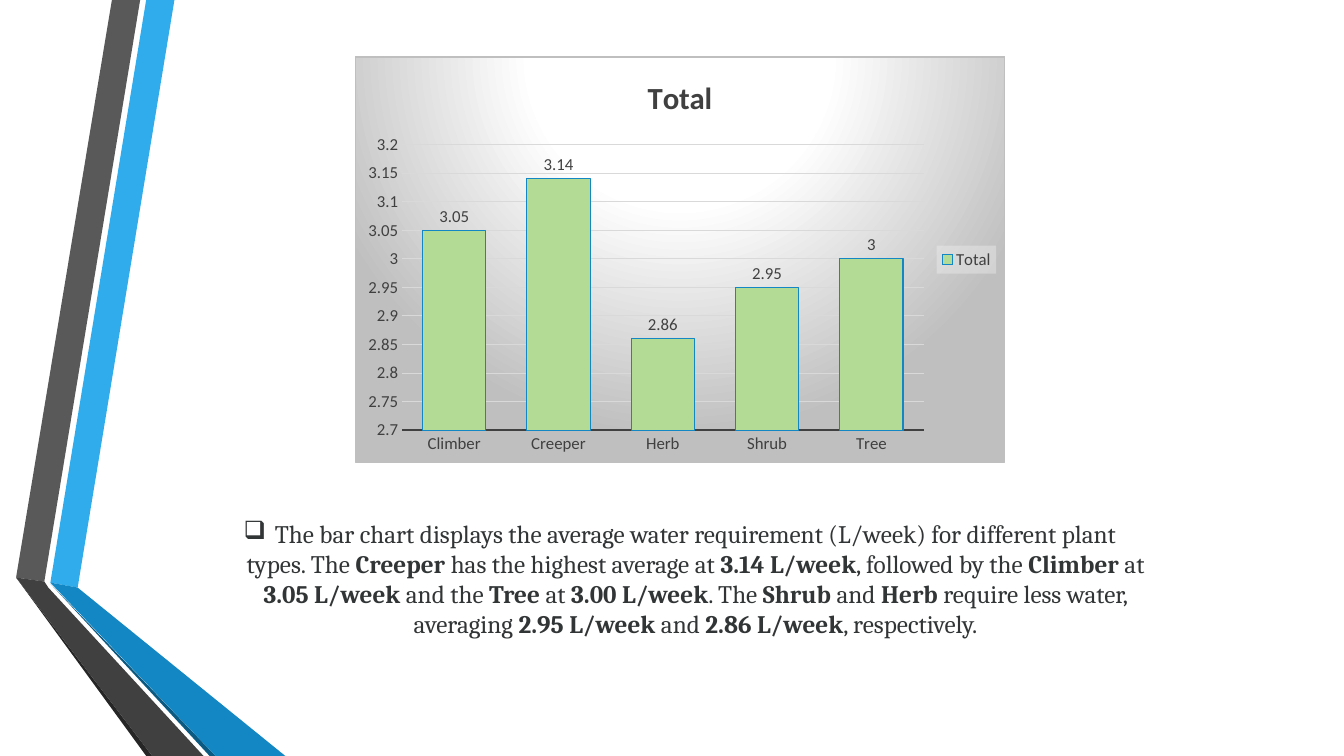
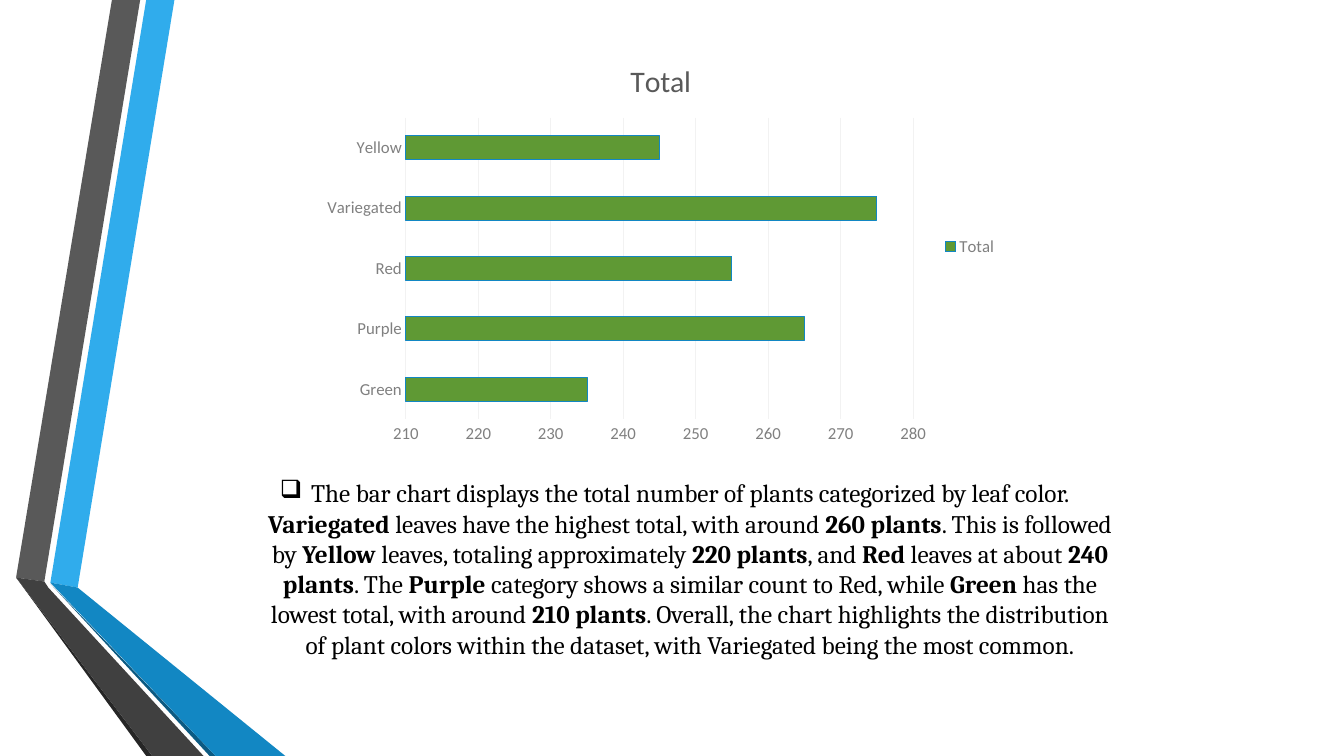
from dataclasses import dataclass
from typing import NamedTuple, Optional

from lxml import etree
from pptx import Presentation
from pptx.chart.axis import CategoryAxis, ValueAxis
from pptx.chart.chart import Chart
from pptx.chart.data import CategoryChartData
from pptx.dml.color import RGBColor
from pptx.enum.chart import XL_CHART_TYPE as ChartType
from pptx.enum.chart import XL_LABEL_POSITION as LabelPosition
from pptx.enum.chart import XL_LEGEND_POSITION as LegendPosition
from pptx.enum.chart import XL_TICK_MARK as TickMark
from pptx.enum.text import MSO_AUTO_SIZE as AutoSize
from pptx.enum.text import PP_ALIGN as Align
from pptx.oxml import parse_xml
from pptx.oxml.ns import qn
from pptx.slide import Slide, SlideLayout
from pptx.text.text import Font
from pptx.util import Emu, Inches, Pt

SLIDE_W, SLIDE_H = Inches(13.333), Inches(7.5)

SKY = RGBColor(0x30, 0xAC, 0xEC)
BLUE = RGBColor(0x12, 0x87, 0xC3)
NAVY = RGBColor(0x0C, 0x5A, 0x82)
BLACK = RGBColor(0x00, 0x00, 0x00)
INK = RGBColor(0x26, 0x26, 0x26)
SLATE = RGBColor(0x32, 0x35, 0x36)
CHARCOAL = RGBColor(0x40, 0x40, 0x40)
GRAY = RGBColor(0x59, 0x59, 0x59)
MID_GRAY = RGBColor(0x80, 0x80, 0x80)
SILVER = RGBColor(0xBF, 0xBF, 0xBF)
LIGHT_GRAY = RGBColor(0xD9, 0xD9, 0xD9)
PALE_GRAY = RGBColor(0xF2, 0xF2, 0xF2)
WHITE = RGBColor(0xFF, 0xFF, 0xFF)
LIGHT_GREEN = RGBColor(0xB3, 0xDB, 0x95)
GREEN = RGBColor(0x5F, 0x99, 0x34)

CHART_FONT, BODY_FONT = "Calibri", "Cambria"
CHART_SIZE, BODY_SIZE = 12, 18
BULLET, BULLET_INDENT = "❑", Inches(0.31)
THIN, THICK = Pt(0.75), Pt(1.5)

SP_PR = (
    '<c:spPr xmlns:c="http://schemas.openxmlformats.org/drawingml/2006/chart"'
    ' xmlns:a="http://schemas.openxmlformats.org/drawingml/2006/main">{}</c:spPr>'
)


class Box(NamedTuple):
    """A rectangle in percent of the slide's width and height."""

    left: float
    top: float
    width: float
    height: float

    def emu(self) -> tuple[Emu, Emu, Emu, Emu]:
        return (across(self.left), down(self.top),
                across(self.width), down(self.height))


class Band(NamedTuple):
    """A filled outline with corners in percent of the slide."""

    color: RGBColor
    corners: tuple[tuple[float, float], ...]


@dataclass(frozen=True)
class ChartSpec:
    kind: ChartType
    box: Box
    values: dict[str, float]
    scale: tuple[float, float, float]
    gap: int
    bar_color: RGBColor
    text_color: RGBColor
    title_color: RGBColor
    title_size: float
    title_bold: bool
    grid_color: RGBColor
    axis_color: Optional[RGBColor] = None
    labels: bool = False
    spotlight: bool = False


@dataclass(frozen=True)
class Finding:
    """A bulleted paragraph; words between ** are bold."""

    box: Box
    color: RGBColor
    text: str


BANDS = (
    Band(SKY, ((3.75, 77.07), (5.78, 77.73), (12.98, 0), (10.88, 0))),
    Band(GRAY, ((10.43, 0), (8.33, 0), (1.2, 76.4), (3.3, 76.93))),
    Band(INK, ((1.2, 76.4), (10.88, 100), (11.33, 100))),
    Band(NAVY, ((3.75, 77.2), (15.6, 100), (16.05, 100))),
    Band(BLUE, ((3.75, 77.07), (16.05, 100), (21.23, 100), (5.78, 77.73))),
    Band(CHARCOAL, ((15.15, 100), (3.6, 77.73), (3.3, 76.93), (1.2, 76.4),
                    (11.33, 100))),
)

WATER_CHART = ChartSpec(
    kind=ChartType.COLUMN_CLUSTERED,
    box=Box(26.4, 7.47, 48.38, 53.73),
    values={"Climber": 3.05, "Creeper": 3.14, "Herb": 2.86, "Shrub": 2.95,
            "Tree": 3},
    scale=(2.7, 3.2, 0.05), gap=65, bar_color=LIGHT_GREEN,
    text_color=CHARCOAL, title_color=CHARCOAL, title_size=22, title_bold=True,
    grid_color=LIGHT_GRAY, axis_color=CHARCOAL, labels=True, spotlight=True,
)
WATER_FINDING = Finding(
    Box(15.23, 67.87, 70.72, 17.47), SLATE,
    "The bar chart displays the average water requirement (L/week) for "
    "different plant types. The **Creeper** has the highest average at "
    "**3.14 L/week**, followed by the **Climber** at **3.05 L/week** and the "
    "**Tree** at **3.00 L/week**. The **Shrub** and **Herb** require less "
    "water, averaging **2.95 L/week** and **2.86 L/week**, respectively.",
)
LEAF_CHART = ChartSpec(
    kind=ChartType.BAR_CLUSTERED,
    box=Box(23.33, 5.47, 51.67, 54.27),
    values={"Green": 235, "Purple": 265, "Red": 255, "Variegated": 275,
            "Yellow": 245},
    scale=(210, 280, 10), gap=150, bar_color=GREEN,
    text_color=MID_GRAY, title_color=GRAY, title_size=21.3, title_bold=False,
    grid_color=PALE_GRAY,
)
LEAF_FINDING = Finding(
    Box(16.43, 62.53, 67.5, 29.6), BLACK,
    "The bar chart displays the total number of plants categorized by leaf "
    "color. **Variegated** leaves have the highest total, with around "
    "**260 plants**. This is followed by **Yellow** leaves, totaling "
    "approximately **220 plants**, and **Red** leaves at about "
    "**240 plants**. The **Purple** category shows a similar count to Red, "
    "while **Green** has the lowest total, with around **210 plants**. "
    "Overall, the chart highlights the distribution of plant colors within "
    "the dataset, with Variegated being the most common.",
)
PAGES = ((WATER_CHART, WATER_FINDING), (LEAF_CHART, LEAF_FINDING))


def across(percent: float) -> Emu:
    return Emu(round(SLIDE_W * percent / 100))


def down(percent: float) -> Emu:
    return Emu(round(SLIDE_H * percent / 100))


def style_font(font: Font, name: str, size: float, color: RGBColor,
               bold: bool = False) -> None:
    font.name, font.size, font.bold = name, Pt(size), bold
    font.color.rgb = color


def move_bands_to_layout(slide: Slide, layout: SlideLayout) -> None:
    """Draw the bands on a slide, then hand them to the layout all slides share."""
    for band in BANDS:
        start, *rest = [(across(x), down(y)) for x, y in band.corners]
        builder = slide.shapes.build_freeform(*start)
        builder.add_line_segments(rest, close=True)
        outline = builder.convert_to_shape()
        outline.fill.solid()
        outline.fill.fore_color.rgb = band.color
        outline.line.fill.background()
        outline.shadow.inherit = False
        layout.shapes.element.append(outline.element)


def style_axes(categories: CategoryAxis, amounts: ValueAxis,
               spec: ChartSpec) -> None:
    for axis in (categories, amounts):
        axis.major_tick_mark = axis.minor_tick_mark = TickMark.NONE
        axis.format.line.fill.background()
        style_font(axis.tick_labels.font, CHART_FONT, CHART_SIZE, spec.text_color)
    if spec.axis_color is not None:
        categories.format.line.color.rgb = spec.axis_color
        categories.format.line.width = THICK
    categories.has_major_gridlines = False
    amounts.has_major_gridlines = True
    amounts.major_gridlines.format.line.color.rgb = spec.grid_color
    amounts.major_gridlines.format.line.width = THIN
    amounts.minimum_scale, amounts.maximum_scale, amounts.major_unit = spec.scale
    amounts.tick_labels.number_format = "General"
    amounts.tick_labels.number_format_is_linked = False


def add_spotlight(chart: Chart) -> None:
    """Give the chart a radial gradient and its legend a translucent panel."""
    stops = "".join(
        f'<a:gs pos="{share * 1000}"><a:srgbClr val="{color}"/></a:gs>'
        for share, color in ((0, WHITE), (39, WHITE), (100, SILVER))
    )
    backdrop = (
        f'<a:gradFill><a:gsLst>{stops}</a:gsLst><a:path path="circle">'
        '<a:fillToRect l="50000" t="-80000" r="50000" b="180000"/></a:path>'
        f'</a:gradFill><a:ln w="{THIN}"><a:solidFill>'
        f'<a:srgbClr val="{SILVER}"/></a:solidFill></a:ln>'
    )
    panel = (
        f'<a:solidFill><a:srgbClr val="{PALE_GRAY}">'
        '<a:alpha val="39000"/></a:srgbClr></a:solidFill>'
    )
    plot_root = chart.element.find(qn("c:chart"))
    plot_root.addnext(parse_xml(SP_PR.format(backdrop)))
    legend_overlay = plot_root.find(qn("c:legend")).find(qn("c:overlay"))
    legend_overlay.addnext(parse_xml(SP_PR.format(panel)))


def add_totals_chart(slide: Slide, spec: ChartSpec) -> None:
    totals = CategoryChartData()
    totals.categories = spec.values.keys()
    totals.add_series("Total", spec.values.values())
    chart = slide.shapes.add_chart(spec.kind, *spec.box.emu(), totals).chart
    style_font(chart.font, CHART_FONT, CHART_SIZE, spec.text_color)

    chart.has_title = True
    heading = chart.chart_title.text_frame
    heading.text = "Total"
    style_font(heading.paragraphs[0].runs[0].font, CHART_FONT, spec.title_size,
               spec.title_color, spec.title_bold)

    chart.has_legend = True
    chart.legend.position = LegendPosition.RIGHT
    chart.legend.include_in_layout = False
    style_font(chart.legend.font, CHART_FONT, CHART_SIZE, spec.text_color)

    style_axes(chart.category_axis, chart.value_axis, spec)

    plot = chart.plots[0]
    plot.gap_width = spec.gap
    plot.vary_by_categories = False
    bars = plot.series[0].format
    bars.fill.solid()
    bars.fill.fore_color.rgb = spec.bar_color
    bars.line.color.rgb = BLUE
    bars.line.width = THIN
    if spec.labels:
        plot.has_data_labels = True
        labels = plot.data_labels
        labels.show_value = True
        labels.position = LabelPosition.OUTSIDE_END
        style_font(labels.font, CHART_FONT, CHART_SIZE, spec.text_color)
    if spec.spotlight:
        add_spotlight(chart)


def add_finding(slide: Slide, finding: Finding) -> None:
    frame = slide.shapes.add_textbox(*finding.box.emu()).text_frame
    frame.word_wrap = True
    frame.auto_size = AutoSize.SHAPE_TO_FIT_TEXT
    paragraph = frame.paragraphs[0]
    paragraph.alignment = Align.CENTER
    properties = paragraph._p.get_or_add_pPr()
    properties.set("marL", str(BULLET_INDENT))
    properties.set("indent", str(-BULLET_INDENT))
    etree.SubElement(properties, qn("a:buChar")).set("char", BULLET)
    for position, words in enumerate(finding.text.split("**")):
        run = paragraph.add_run()
        run.text = words
        style_font(run.font, BODY_FONT, BODY_SIZE, finding.color,
                   bold=position % 2 == 1)


def main() -> None:
    deck = Presentation()
    deck.slide_width, deck.slide_height = SLIDE_W, SLIDE_H
    blank = deck.slide_layouts[6]
    slides = [deck.slides.add_slide(blank) for _ in PAGES]
    move_bands_to_layout(slides[0], blank)
    for slide, (chart, finding) in zip(slides, PAGES):
        add_totals_chart(slide, chart)
        add_finding(slide, finding)
    deck.save("out.pptx")


if __name__ == "__main__":
    main()
